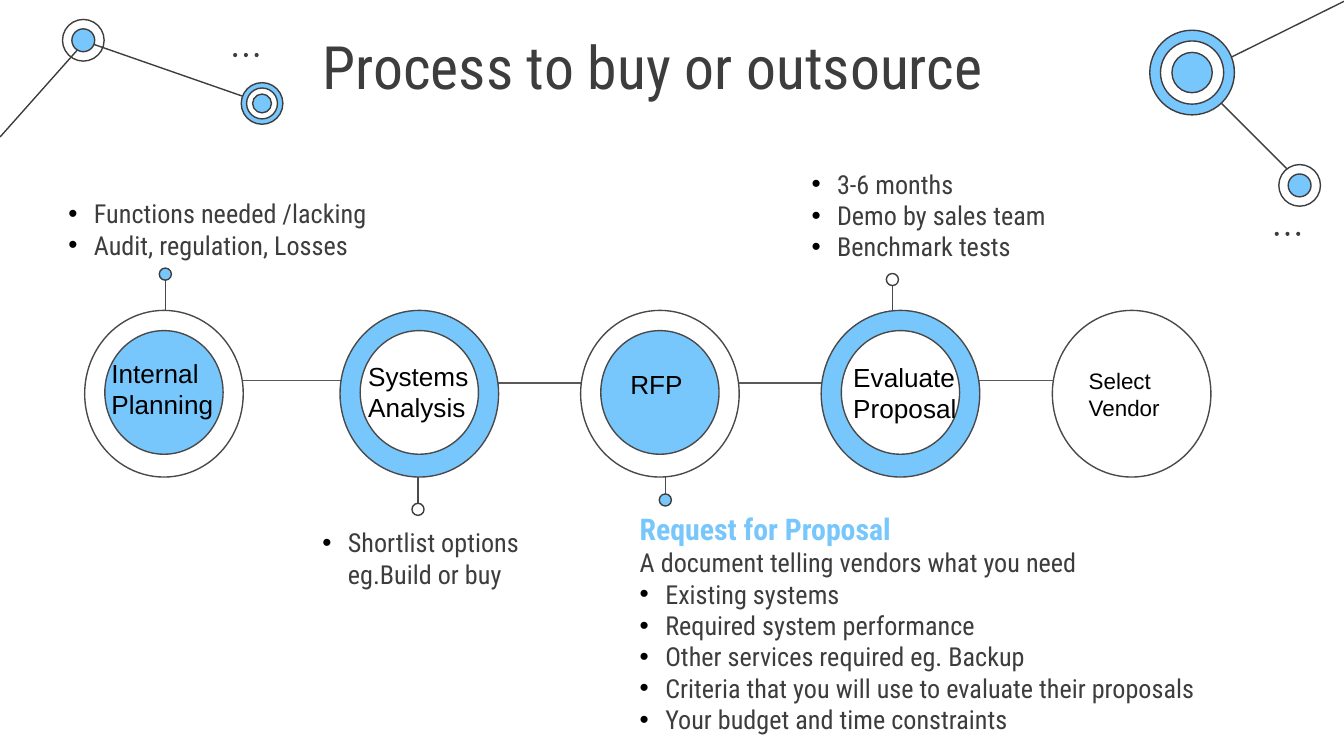
from dataclasses import dataclass
from typing import Optional

from lxml.etree import SubElement
from pptx import Presentation
from pptx.dml.color import RGBColor
from pptx.enum.shapes import MSO_CONNECTOR as Connector, MSO_SHAPE as Shape
from pptx.enum.text import MSO_ANCHOR as Anchor, MSO_AUTO_SIZE as AutoSize, PP_ALIGN as Align
from pptx.oxml.ns import qn
from pptx.util import Inches, Pt

SKY = RGBColor(0x77, 0xC6, 0xFC)
WHITE = RGBColor(0xFF, 0xFF, 0xFF)
BLACK = RGBColor(0x00, 0x00, 0x00)
INK = RGBColor(0x3D, 0x3D, 0x3D)
RIM = RGBColor(0x49, 0x49, 0x49)
GREY = RGBColor(0x59, 0x59, 0x59)
CONDENSED = "Roboto Condensed"
SANS = "Arial"
STEP_Y = 2.93
OUTER = (1.18, 1.24)
INNER = (0.88, 0.92)
HANG = 0.19


@dataclass
class Line:
    start: tuple[float, float]
    end: tuple[float, float]
    color: RGBColor = INK


@dataclass
class Target:
    x: float
    y: float
    rings: list[tuple[float, Optional[RGBColor]]]


@dataclass
class Step:
    x: float
    outer: RGBColor
    inner: Optional[RGBColor] = None


@dataclass
class Pin:
    x: float
    dot_y: float
    fill: RGBColor


@dataclass
class Label:
    text: str
    box: tuple[float, float, float, float]
    align: Align = Align.LEFT


@dataclass
class Note:
    items: list[str]
    box: tuple[float, float, float, float]


NETWORK = [
    Line((9.67, 1.35), (8.87, 0.55)),
    Line((0.64, 0.31), (1.96, 0.77)),
    Line((0, 1.02), (0.64, 0.3)),
    Line((10, 0.01), (8.91, 0.55)),
]
TARGETS = [
    Target(0.62, 0.3, [(0.31, None), (0.17, SKY)]),
    Target(1.95, 0.77, [(0.31, SKY), (0.23, WHITE), (0.14, SKY)]),
    Target(8.87, 0.54, [(0.63, SKY), (0.47, WHITE), (0.3, SKY)]),
    Target(9.67, 1.38, [(0.31, WHITE), (0.17, SKY)]),
]
ELLIPSES = [(1.75, 0.41), (9.5, 1.74)]
LINKS = [(1.62, 2.83), (3.39, 2.85), (5.2, 2.85), (7.05, 2.83)]
PINS = [
    Pin(1.23, 2.04, SKY),
    Pin(3.11, 3.79, WHITE),
    Pin(4.95, 3.72, SKY),
    Pin(6.64, 2.08, WHITE),
]
STEPS = [
    Step(1.22, WHITE, SKY),
    Step(3.12, SKY, WHITE),
    Step(4.91, WHITE, SKY),
    Step(6.7, SKY, WHITE),
    Step(8.42, WHITE),
]
LABELS = [
    Label("Internal Planning", (0.73, 2.61, 1.09, 0.57)),
    Label("Systems Analysis", (2.64, 2.63, 1.09, 0.57)),
    Label("RFP", (4.34, 2.69, 1.09, 0.34), Align.CENTER),
    Label("Evaluate Proposal", (6.25, 2.64, 1.09, 0.57)),
]
NOTES = [
    Note(["Functions needed /lacking", "Audit, regulation, Losses"], (0.41, 1.37, 2.99, 0.43)),
    Note(["Shortlist options eg.Build or buy"], (2.3, 3.82, 1.95, 0.72)),
    Note(["3-6 months", "Demo by sales team", "Benchmark tests"], (5.94, 1.15, 3.23, 0.89)),
]
REQUIREMENTS = [
    "Existing systems",
    "Required system performance",
    "Other services required eg. Backup",
    "Criteria that you will use to evaluate their proposals",
    "Your budget and time constraints",
]


def draw_line(slide, line: Line) -> None:
    points = [Inches(value) for value in (*line.start, *line.end)]
    connector = slide.shapes.add_connector(Connector.STRAIGHT, *points)
    connector.line.color.rgb = line.color
    connector.line.width = Pt(0.75)
    SubElement(connector._element.spPr, qn("a:effectLst"))


def draw_oval(slide, x: float, y: float, width: float, height: float,
              fill: Optional[RGBColor], outline: Optional[RGBColor] = INK):
    oval = slide.shapes.add_shape(Shape.OVAL, Inches(x - width / 2), Inches(y - height / 2),
                                  Inches(width), Inches(height))
    oval.shadow.inherit = False
    if fill is None:
        oval.fill.background()
    else:
        oval.fill.solid()
        oval.fill.fore_color.rgb = fill
    if outline is None:
        oval.line.fill.background()
    else:
        oval.line.color.rgb = outline
        oval.line.width = Pt(0.75)
    return oval


def draw_step(slide, step: Step):
    outer = draw_oval(slide, step.x, STEP_Y, *OUTER, step.outer, RIM)
    if step.inner is not None:
        draw_oval(slide, step.x, STEP_Y - 0.01, *INNER, step.inner, RIM)
    return outer


def place(shape, box: tuple[float, float, float, float], inset_y: float = 0.1):
    shape.left, shape.top, shape.width, shape.height = [Inches(value) for value in box]
    frame = shape.text_frame
    frame.word_wrap = True
    frame.auto_size = AutoSize.NONE
    frame.vertical_anchor = Anchor.TOP
    frame.margin_left = frame.margin_right = Inches(0.1)
    frame.margin_top = frame.margin_bottom = Inches(inset_y)
    return frame


def write(paragraph, text: str, size: float, color: RGBColor, font: str = CONDENSED,
          bold: bool = False, align: Align = Align.LEFT, bullet: bool = False) -> None:
    properties = paragraph._p.get_or_add_pPr()
    properties.set("marL", str(Inches(HANG) if bullet else 0))
    properties.set("indent", str(-Inches(HANG) if bullet else 0))
    if bullet:
        SubElement(SubElement(properties, qn("a:buClr")), qn("a:srgbClr")).set("val", str(BLACK))
        SubElement(properties, qn("a:buFont")).set("typeface", SANS)
        SubElement(properties, qn("a:buChar")).set("char", "•")
    else:
        SubElement(properties, qn("a:buNone"))
    paragraph.alignment = align
    paragraph.space_before = Pt(0)
    run = paragraph.add_run()
    run.text = text
    run.font.name = font
    run.font.size = Pt(size)
    run.font.bold = bold
    run.font.color.rgb = color


def write_bullets(frame, items: list[str]) -> None:
    for item in items:
        paragraph = frame.paragraphs[0] if not frame.text else frame.add_paragraph()
        write(paragraph, item, 14, INK, bullet=True)


def add_box(slide, box: tuple[float, float, float, float], inset_y: float = 0.1):
    return place(slide.shapes.add_textbox(0, 0, 0, 0), box, inset_y)


def main() -> None:
    deck = Presentation()
    deck.slide_width = Inches(10)
    deck.slide_height = deck.slide_width * 9 // 16
    slide = deck.slides.add_slide(deck.slide_layouts[1])

    title = place(slide.shapes.title, (2.3, 0.12, 5.79, 0.65))
    write(title.paragraphs[0], "Process to buy or outsource", 32, INK)

    proposal = place(slide.placeholders[1], (4.66, 3.7, 5.26, 2.39))
    write(proposal.paragraphs[0], "Request for Proposal", 16, SKY, bold=True)
    write(proposal.add_paragraph(), "A document telling vendors what you need", 14, INK)
    write_bullets(proposal, REQUIREMENTS)

    for line in NETWORK:
        draw_line(slide, line)
    for target in TARGETS:
        for diameter, fill in target.rings:
            draw_oval(slide, target.x, target.y, diameter, diameter, fill)
    for x, y in ELLIPSES:
        for index in range(3):
            draw_oval(slide, x + index * 0.08, y, 0.03, 0.03, INK, None)

    for x, y in LINKS:
        draw_line(slide, Line((x, y), (x + 1, y), GREY))
    for pin in PINS:
        draw_line(slide, Line((pin.x, STEP_Y), (pin.x, pin.dot_y), RIM))
        draw_oval(slide, pin.x, pin.dot_y, 0.09, 0.09, pin.fill)
    vendor = [draw_step(slide, step) for step in STEPS][-1].text_frame
    vendor.word_wrap = True
    vendor.vertical_anchor = Anchor.MIDDLE
    write(vendor.paragraphs[0], "Select Vendor", 12, BLACK, SANS)

    for label in LABELS:
        frame = add_box(slide, label.box, 0.05)
        write(frame.paragraphs[0], label.text, 14, BLACK, SANS, align=label.align)
    for note in NOTES:
        write_bullets(add_box(slide, note.box), note.items)

    deck.save("out.pptx")


if __name__ == "__main__":
    main()
